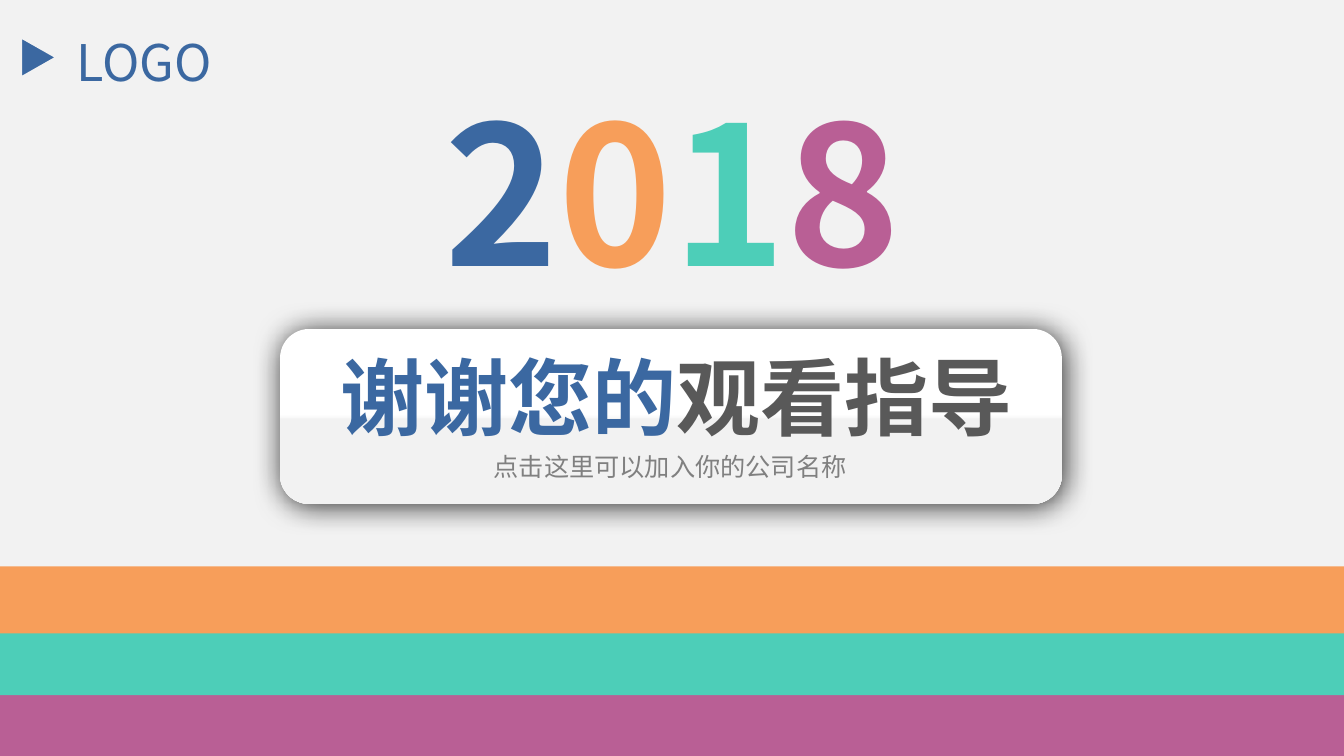
"""Build the closing slide: year, thank-you card and coloured bands."""
from dataclasses import dataclass

import lxml.etree
import pptx
import pptx.dml.color
import pptx.enum.shapes
import pptx.enum.text
import pptx.oxml.ns
import pptx.shapes.autoshape
import pptx.slide
import pptx.util

Pt = pptx.util.Pt
SHAPE = pptx.enum.shapes.MSO_SHAPE
ANCHOR = pptx.enum.text.MSO_ANCHOR
AUTO_SIZE = pptx.enum.text.MSO_AUTO_SIZE
FONT = "Noto Sans CJK SC"
SLIDE_WIDTH, SLIDE_HEIGHT = 960, 540
COLOURS = {
    "background": "F2F2F2",
    "white": "FFFFFF",
    "blue": "3B68A1",
    "orange": "F79E5A",
    "teal": "4DCEB8",
    "purple": "B95F95",
    "dark": "595959",
    "grey": "808080",
    "black": "000000",
}


@dataclass(frozen=True)
class Box:
    """Position and size in points."""
    left: float
    top: float
    width: float
    height: float

    def lengths(self) -> tuple:
        """Return the four lengths for python-pptx."""
        return Pt(self.left), Pt(self.top), Pt(self.width), Pt(self.height)


@dataclass(frozen=True)
class Label:
    """A centred line of coloured runs."""
    box: Box
    size: float
    runs: tuple[tuple[str, str], ...]
    bold: bool = False
    wrap: bool = True
    grow: bool = True
    anchor: ANCHOR = ANCHOR.TOP


@dataclass(frozen=True)
class Band:
    """A full-width stripe."""
    top: float
    height: float
    colour: str


THANKS = Label(Box(232.5, 243.5, 501, 80), 60,
               (("谢谢您的", "blue"), ("观看指导", "dark")), bold=True)
LABELS = (
    Label(Box(304.5, 324, 348.5, 18), 18,
          (("点击这里可以加入你的公司名称", "grey"),), grow=False, anchor=ANCHOR.MIDDLE),
    Label(Box(301, 49, 358.5, 174), 138,
          (("2", "blue"), ("0", "orange"), ("1", "teal"), ("8", "purple")),
          bold=True, wrap=False),
    Label(Box(42.5, 18.7, 121, 51), 36, (("LOGO", "blue"),), wrap=False),
)
BANDS = (Band(408, 132, "purple"), Band(448.5, 48, "teal"), Band(404.5, 48, "orange"))


def rgb(colour: str) -> pptx.dml.color.RGBColor:
    """Look up a named colour."""
    return pptx.dml.color.RGBColor.from_string(COLOURS[colour])


def write_label(holder: pptx.shapes.autoshape.Shape, label: Label) -> None:
    """Place and fill a text holder."""
    holder.left, holder.top, holder.width, holder.height = label.box.lengths()
    frame = holder.text_frame
    frame.word_wrap = label.wrap
    frame.auto_size = AUTO_SIZE.SHAPE_TO_FIT_TEXT if label.grow else AUTO_SIZE.NONE
    frame.vertical_anchor = label.anchor
    line = frame.paragraphs[0]
    line.alignment = pptx.enum.text.PP_ALIGN.CENTER
    for text, colour in label.runs:
        run = line.add_run()
        run.text = text
        run.font.size = Pt(label.size)
        run.font.bold = label.bold
        run.font.color.rgb = rgb(colour)
        run.font.name = FONT
        east_asian = lxml.etree.Element(pptx.oxml.ns.qn("a:ea"), typeface=FONT)
        run.font._element.find(pptx.oxml.ns.qn("a:latin")).addnext(east_asian)


def add_block(slide: pptx.slide.Slide, kind: SHAPE, box: Box,
              colour: str) -> pptx.shapes.autoshape.Shape:
    """Add a flat, borderless shape."""
    block = slide.shapes.add_shape(kind, *box.lengths())
    block.shadow.inherit = False
    block.fill.solid()
    block.fill.fore_color.rgb = rgb(colour)
    block.line.fill.background()
    return block


def add_card(slide: pptx.slide.Slide) -> pptx.shapes.autoshape.Shape:
    """Add the two-tone card with its soft shadow."""
    card = add_block(slide, SHAPE.ROUNDED_RECTANGLE, Box(200, 235, 558.5, 125), "white")
    card.fill.gradient()
    card.fill.gradient_angle = 270
    tones = ((0.49, "white"), (0.52, "background"))
    for stop, (position, colour) in zip(card.fill.gradient_stops, tones):
        stop.position = position
        stop.color.rgb = rgb(colour)
    qn = pptx.oxml.ns.qn
    effects = card.element.spPr.find(qn("a:effectLst"))
    shadow = lxml.etree.SubElement(
        effects, qn("a:outerShdw"), blurRad=str(Pt(21)), dist=str(Pt(2)),
        dir="2700000", algn="tl", rotWithShape="0")
    tint = lxml.etree.SubElement(shadow, qn("a:srgbClr"), val=COLOURS["black"])
    lxml.etree.SubElement(tint, qn("a:alpha"), val="82000")
    return card


def main() -> None:
    """Build and save the slide."""
    deck = pptx.Presentation()
    deck.slide_width, deck.slide_height = Pt(SLIDE_WIDTH), Pt(SLIDE_HEIGHT)
    slide = deck.slides.add_slide(deck.slide_layouts[5])
    slide.background.fill.solid()
    slide.background.fill.fore_color.rgb = rgb("background")

    card = add_card(slide)
    write_label(slide.shapes.title, THANKS)
    card.element.addnext(slide.shapes.title.element)
    for label in LABELS:
        write_label(slide.shapes.add_textbox(*label.box.lengths()), label)

    marker = add_block(slide, SHAPE.ISOSCELES_TRIANGLE, Box(13, 28, 29.5, 26), "blue")
    marker.rotation = 90
    marker.line.color.rgb = rgb("background")
    marker.line.width = Pt(2)
    for band in BANDS:
        add_block(slide, SHAPE.RECTANGLE,
                  Box(0, band.top, SLIDE_WIDTH, band.height), band.colour)
    deck.save("out.pptx")


if __name__ == "__main__":
    main()
